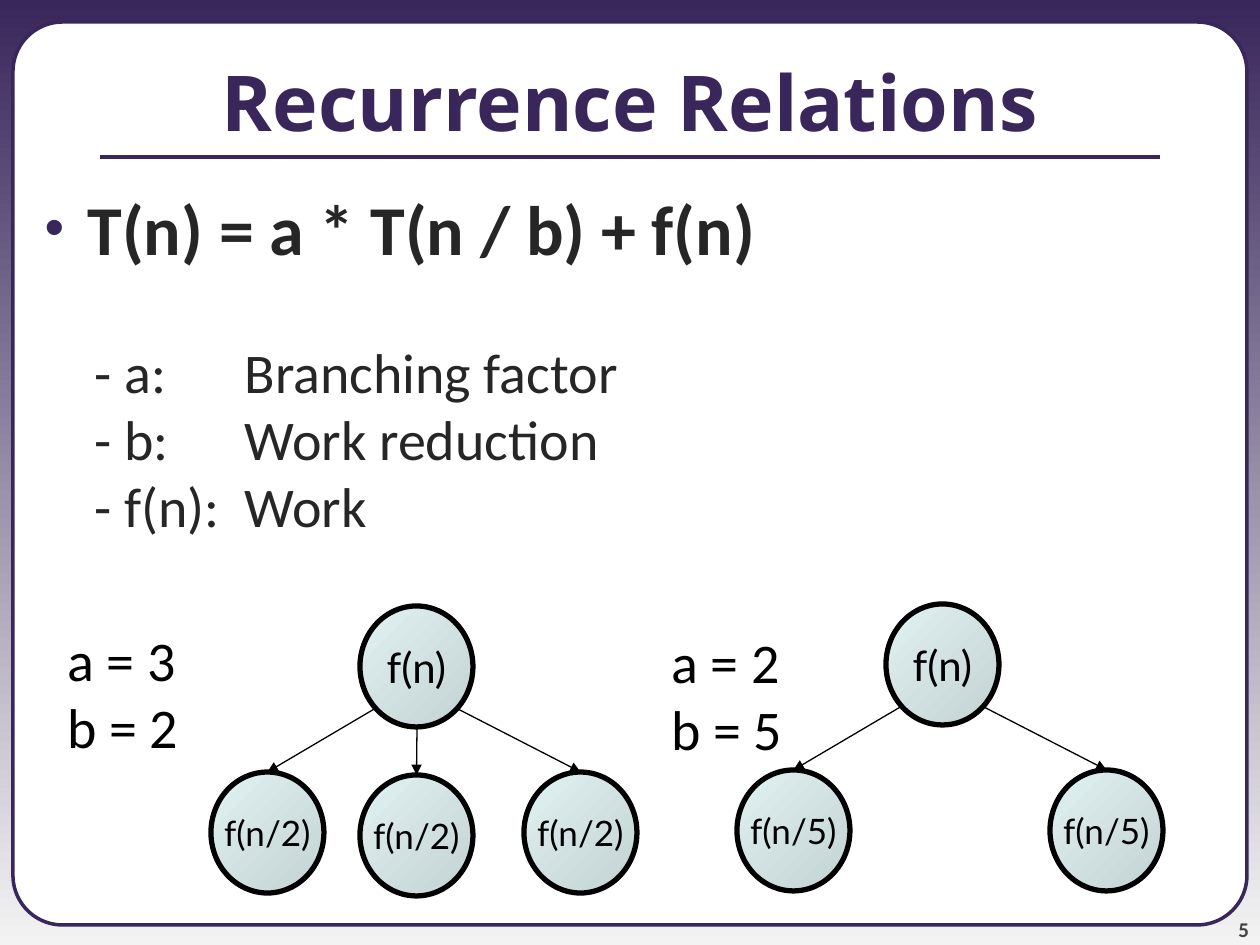
from lxml import etree
from pptx import Presentation
from pptx.dml.color import RGBColor
from pptx.enum.shapes import MSO_CONNECTOR, MSO_SHAPE
from pptx.enum.text import MSO_ANCHOR, MSO_AUTO_SIZE, PP_ALIGN
from pptx.oxml.ns import qn
from pptx.util import Emu, Pt

LINE = MSO_CONNECTOR.STRAIGHT
OVAL, ROUND = MSO_SHAPE.OVAL, MSO_SHAPE.ROUNDED_RECTANGLE
MID, LOW = MSO_ANCHOR.MIDDLE, MSO_ANCHOR.BOTTOM
CENTER, RIGHT = PP_ALIGN.CENTER, PP_ALIGN.RIGHT
PURPLE = RGBColor(0x39, 0x27, 0x5B)
PALE = RGBColor(0xF3, 0xF3, 0xF3)
WHITE = RGBColor(0xFF, 0xFF, 0xFF)
BLACK = RGBColor(0, 0, 0)
INK = RGBColor(0x26, 0x26, 0x26)
GRAY = RGBColor(0x42, 0x42, 0x42)
MINT = RGBColor(0xE1, 0xF2, 0xF3)
SLATE = RGBColor(0xC3, 0xD2, 0xD3)
PX = 914400 / 126


def px(*nums):
    return [Emu(round(n * PX)) for n in nums]


def style(para, name, size, color, bold=False):
    font = para.font
    font.name, font.size, font.bold = name, Pt(size), bold
    font.color.rgb = color


prs = Presentation()
prs.slide_width, prs.slide_height = px(1260, 945)
slide = prs.slides.add_slide(prs.slide_layouts[1])
shapes = slide.shapes

# Background gradient, dark at the top
fill = slide.background.fill
fill.gradient()
fill.gradient_angle = 270
for stop, color in zip(fill.gradient_stops, (PURPLE, PALE)):
    stop.color.rgb = color

# White panel and title rule, behind the placeholders
panel = shapes.add_shape(ROUND, *px(13, 22, 1234, 903))
panel.adjustments[0] = 0.055
panel.shadow.inherit = False
panel.fill.solid()
panel.fill.fore_color.rgb = WHITE
panel.line.color.rgb = PURPLE
panel.line.width = Pt(2)
rule = shapes.add_connector(LINE, *px(100, 157, 1160, 157))
rule.line.color.rgb = PURPLE
rule.line.width = Pt(2.25)
etree.SubElement(rule._element.spPr, qn("a:effectLst"))
for spot, part in enumerate((panel, rule), 2):
    shapes._spTree.insert(spot, part._element)

# Title
title = shapes.title
title.left, title.top, title.width, title.height = px(0, 22, 1260, 157)
frame = title.text_frame
frame.text = "Recurrence Relations"
frame.auto_size = MSO_AUTO_SIZE.NONE
frame.vertical_anchor = MID
frame.paragraphs[0].alignment = CENTER
style(frame.paragraphs[0], "Noto Sans", 44, PURPLE, True)

# Formula and its terms: text, margin, hang, size, space before
body = slide.placeholders[1]
body.left, body.top, body.width, body.height = px(0, 179, 1260, 766)
frame = body.text_frame
frame.auto_size = MSO_AUTO_SIZE.NONE
rows = [
    ("T(n) = a * T(n / b) + f(n)", 75, 43, 40, 0),
    ("- a:\tBranching factor", 232, 150, 32, 39),
    ("- b:\tWork reduction", 232, 150, 32, 0),
    ("- f(n):\tWork", 232, 150, 32, 0),
]
for i, (text, left, hang, size, gap) in enumerate(rows):
    para = frame.paragraphs[0] if i == 0 else frame.add_paragraph()
    para.text = text
    props = para._p.get_or_add_pPr()
    margin, indent = px(left, -hang)
    props.set("marL", str(margin))
    props.set("indent", str(indent))
    if i == 0:
        tint = etree.SubElement(props, qn("a:buClr"))
        etree.SubElement(tint, qn("a:srgbClr"), val=str(PURPLE))
        etree.SubElement(props, qn("a:buSzPct"), val="80000")
        etree.SubElement(props, qn("a:buChar"), char="•")
    else:
        etree.SubElement(props, qn("a:buNone"))
    para.space_before = Pt(gap)
    style(para, "Calibri", size, INK, i == 0)

# Recursion trees: root, child label, children, label place, factors
trees = [
    ((360, 606), "f(n/2)", [(211, 772), (360, 775), (524, 772)],
     (55, 619), ("a = 3", "b = 2")),
    ((886, 604), "f(n/5)", [(737, 770), (1050, 770)],
     (659, 621), ("a = 2", "b = 5")),
]
for root, name, kids, place, facts in trees:
    x, y = root
    nodes = [(root, "f(n)", 24)] + [(kid, name, 20) for kid in kids]
    for spot, text, size in nodes:
        node = shapes.add_shape(OVAL, *px(*spot, 113, 121))
        node.shadow.inherit = False
        node.fill.gradient()
        node.fill.gradient_angle = 315
        for stop, color in zip(node.fill.gradient_stops, (MINT, SLATE)):
            stop.color.rgb = color
        node.line.color.rgb = BLACK
        node.line.width = Pt(3)
        frame = node.text_frame
        frame.text = text
        frame.word_wrap = False
        frame.vertical_anchor = MID
        frame.paragraphs[0].alignment = CENTER
        style(frame.paragraphs[0], "Lato", size, BLACK)
        if spot == root:
            continue

        # Arrow from the root's lower edge to the top of the child
        if spot[0] == x:
            start = (x + 57, y + 123)
        else:
            start = (x + (16 if spot[0] < x else 96), y + 102)
        arrow = shapes.add_connector(LINE, *px(*start, spot[0] + 57, spot[1]))
        arrow.end_connect(node, 0)
        arrow.line.color.rgb = BLACK
        arrow.line.width = Pt(0.75)
        etree.SubElement(arrow.line._get_or_add_ln(), qn("a:tailEnd"),
                         type="triangle")
        etree.SubElement(arrow._element.spPr, qn("a:effectLst"))

    # Factors beside the tree
    frame = shapes.add_textbox(*px(*place, 192, 149)).text_frame
    frame.word_wrap = True
    frame.text = "\n".join(facts)
    for para in frame.paragraphs:
        style(para, "Calibri", 32, BLACK)

# Slide number
frame = shapes.add_textbox(*px(1144, 892, 105, 50)).text_frame
frame.margin_left = frame.margin_right = 0
frame.margin_top = frame.margin_bottom = 0
frame.word_wrap = True
frame.vertical_anchor = LOW
frame.text = "5"
frame.paragraphs[0].alignment = RIGHT
style(frame.paragraphs[0], "Calibri", 12, GRAY, True)

prs.save("out.pptx")
